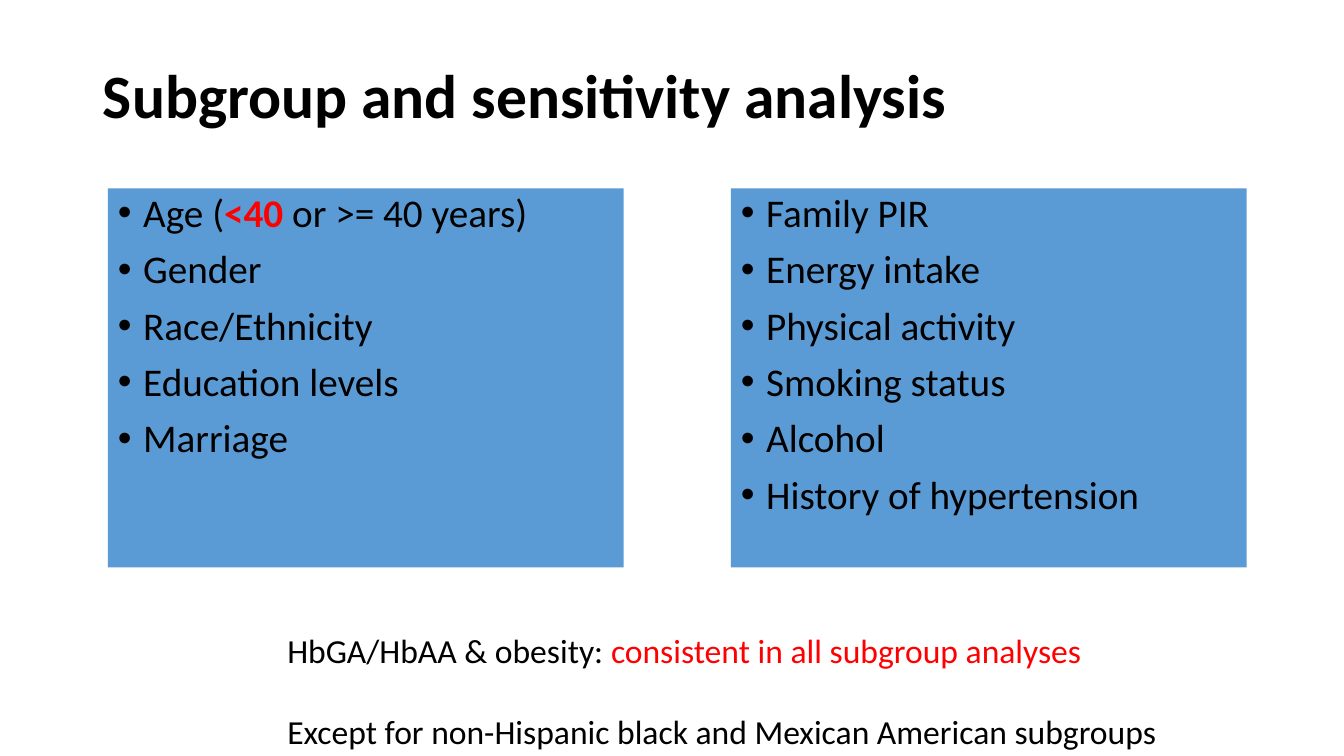
"""Build the subgroup and sensitivity analysis slide."""
from lxml.etree import SubElement
from pptx import Presentation
from pptx.dml.color import RGBColor
from pptx.enum.shapes import MSO_SHAPE
from pptx.enum.text import MSO_ANCHOR, MSO_AUTO_SIZE, PP_ALIGN
from pptx.oxml.ns import qn
from pptx.util import Cm, Pt

BLACK = RGBColor(0x00, 0x00, 0x00)
RED = RGBColor(0xFF, 0x00, 0x00)
BLUE = RGBColor(0x5B, 0x9B, 0xD5)

TITLE = [[("Subgroup and sensitivity analysis", BLACK, True)]]
GROUPS = [
    [
        [("Age (", BLACK, False), ("<40 ", RED, True),
         ("or >= 40 years)", BLACK, False)],
        [("Gender", BLACK, False)],
        [("Race/Ethnicity", BLACK, False)],
        [("Education levels", BLACK, False)],
        [("Marriage", BLACK, False)],
    ],
    [
        [(text, BLACK, False)]
        for text in ("Family PIR", "Energy intake", "Physical activity",
                     "Smoking status", "Alcohol", "History of hypertension")
    ],
]
NOTES = [
    [("HbGA/HbAA & obesity: ", BLACK, False),
     ("consistent in all subgroup analyses", RED, False)],
    [("Except for non-Hispanic black and Mexican American subgroups",
      BLACK, False)],
]

LEFT, TOP, WIDTH, HEIGHT, STEP = 2.72, 4.75, 13, 9.55, 15.7
INDENT = Cm(0.64)

FRAME = {"word_wrap": True, "auto_size": MSO_AUTO_SIZE.NONE,
         "vertical_anchor": MSO_ANCHOR.TOP}
PARA = {"alignment": PP_ALIGN.LEFT, "line_spacing": 0.9,
        "space_before": Pt(0)}


def assign(item, values):
    """Set each named value on the item."""
    for name, value in values.items():
        setattr(item, name, value)


def add_dot(para):
    """Give the paragraph a hanging bullet."""
    props = para._p.get_or_add_pPr()
    props.set("marL", str(INDENT))
    props.set("indent", str(-INDENT))
    SubElement(props, qn("a:buFont")).set("typeface", "Arial")
    SubElement(props, qn("a:buChar")).set("char", "•")


def write(shape, lines, size, frame, form, dots=False):
    """Fill the shape with lines of styled runs."""
    body = shape.text_frame
    assign(body, FRAME | frame)
    for index, line in enumerate(lines):
        para = body.add_paragraph() if index else body.paragraphs[0]
        assign(para, PARA | form)
        if dots:
            add_dot(para)
        for text, color, bold in line:
            run = para.add_run()
            run.text = text
            assign(run.font, {"name": "Calibri", "size": Pt(size),
                              "bold": bold})
            run.font.color.rgb = color


def main():
    """Compose and save the slide."""
    deck = Presentation()
    assign(deck, {"slide_width": Cm(33.87), "slide_height": Cm(19.05)})
    slide = deck.slides.add_slide(deck.slide_layouts[5])

    title = slide.shapes.title
    assign(title, {"left": Cm(2.34), "top": Cm(0.64),
                   "width": Cm(29.21), "height": Cm(3.68)})
    write(title, TITLE, 44, {"vertical_anchor": MSO_ANCHOR.MIDDLE}, {})

    for index, group in enumerate(GROUPS):
        panel = slide.shapes.add_shape(
            MSO_SHAPE.RECTANGLE, Cm(LEFT + index * STEP), Cm(TOP),
            Cm(WIDTH), Cm(HEIGHT))
        panel.shadow.inherit = False
        panel.fill.solid()
        panel.fill.fore_color.rgb = BLUE
        panel.line.fill.background()
        write(panel, group, 28, {}, {"space_before": Pt(10)}, dots=True)

    notes = slide.shapes.add_textbox(Cm(6.99), Cm(14.73), Cm(22.61), Cm(4.06))
    write(notes, NOTES, 24, {"auto_size": MSO_AUTO_SIZE.SHAPE_TO_FIT_TEXT},
          {"line_spacing": 2.0})
    deck.save("out.pptx")


if __name__ == "__main__":
    main()
